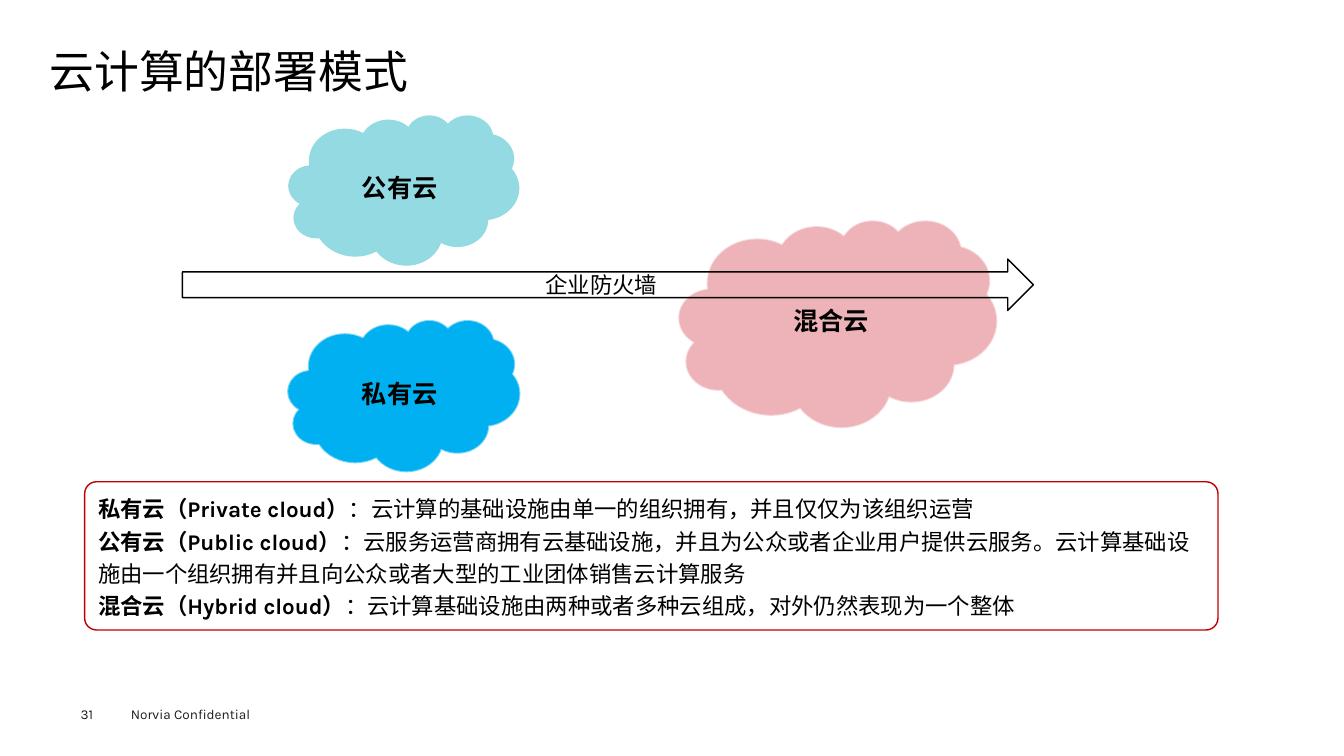
import pptx
import pptx.util
import pptx.dml.color
import pptx.enum.dml
import pptx.enum.lang
import pptx.enum.shapes
import pptx.enum.text
import pptx.oxml.ns
import lxml.etree

Inches = pptx.util.Inches
SHAPE = pptx.enum.shapes.MSO_SHAPE
ALIGN = pptx.enum.text.PP_ALIGN
ANCHOR = pptx.enum.text.MSO_ANCHOR
FONT = "Karla"
BLACK, GREY, WHITE = "000000", "1D1D1B", "FFFFFF"
PINK, AQUA, BLUE, RED = "EEB3B8", "94DAE2", "00B0F0", "C00000"

DEFINITIONS = [
    ("私有云（Private cloud）", "：云计算的基础设施由单一的组织拥有，并且仅仅为该组织运营"),
    ("公有云（Public cloud）",
     "：云服务运营商拥有云基础设施，并且为公众或者企业用户提供云服务。"
     "云计算基础设施由一个组织拥有并且向公众或者大型的工业团体销售云计算服务"),
    ("混合云（Hybrid cloud）", "：云计算基础设施由两种或者多种云组成，对外仍然表现为一个整体"),
]


def paint(color_format, color):
    color_format.rgb = pptx.dml.color.RGBColor.from_string(color)


def add_run(para, text, size, bold=False, color=BLACK):
    span = para.add_run()
    span.text = text
    font = span.font
    font.name, font.size, font.bold = FONT, pptx.util.Pt(size), bold
    font.language_id = pptx.enum.lang.MSO_LANGUAGE_ID.SIMPLIFIED_CHINESE
    font.fill.solid()
    paint(font.fill.fore_color, color)
    # East Asian characters use the same font setting
    tag = pptx.oxml.ns.qn("a:ea")
    lxml.etree.SubElement(span.font._element, tag).set("typeface", FONT)


def set_frame(frame, anchor=ANCHOR.TOP, margins=(0.1, 0.05)):
    frame.word_wrap = True
    frame.auto_size = pptx.enum.text.MSO_AUTO_SIZE.NONE
    frame.vertical_anchor = anchor
    frame.margin_left = frame.margin_right = Inches(margins[0])
    frame.margin_top = frame.margin_bottom = Inches(margins[1])
    return frame.paragraphs[0]


def add_box(shapes, place, text, size, bold=False, color=BLACK,
            align=ALIGN.LEFT, anchor=ANCHOR.TOP, margins=(0.1, 0.05)):
    box = shapes.add_textbox(*map(Inches, place))
    para = set_frame(box.text_frame, anchor, margins)
    para.alignment = align
    add_run(para, text, size, bold, color)


def add_shape(shapes, kind, place, fill=None, line=None, width=1):
    shape = shapes.add_shape(kind, *map(Inches, place))
    shape.shadow.inherit = False
    if fill:
        shape.fill.solid()
        paint(shape.fill.fore_color, fill)
    else:
        shape.fill.background()
    if line:
        shape.line.fill.solid()
        paint(shape.line.fill.fore_color, line)
        shape.line.width = pptx.util.Pt(width)
    else:
        shape.line.fill.background()
    return shape


def add_cloud(page, place, label_place, label, color, outlined=True):
    group = page.shapes.add_group_shape()
    cloud = add_shape(group.shapes, SHAPE.CLOUD, place, color,
                      color if outlined else None, 1.5)
    if outlined:
        # Half transparent outline
        tint = cloud.line._ln.find(".//" + pptx.oxml.ns.qn("a:srgbClr"))
        lxml.etree.SubElement(tint, pptx.oxml.ns.qn("a:alpha")).set("val", "50000")
    add_box(group.shapes, label_place, label, 18, True,
            align=ALIGN.CENTER, anchor=ANCHOR.MIDDLE)


def add_title(page, text):
    title = page.shapes.title
    title.left, title.top, title.width, title.height = map(
        Inches, (0.49, 0.49, 12.35, 0.54))
    para = set_frame(title.text_frame, margins=(0, 0))
    para.alignment = ALIGN.LEFT
    para.line_spacing = 0.9
    add_run(para, text, 32)


def add_definitions(page):
    panel = add_shape(page.shapes, SHAPE.ROUNDED_RECTANGLE,
                      (0.84, 4.78, 11.24, 1.47), WHITE, RED)
    panel.adjustments[0] = 0.08
    para = set_frame(panel.text_frame)
    for index, (term, meaning) in enumerate(DEFINITIONS):
        if index:
            para = panel.text_frame.add_paragraph()
        para.alignment = ALIGN.LEFT
        para.line_spacing = 1.2
        add_run(para, term, 16, True)
        add_run(para, meaning, 16)


def add_firewall(page):
    arrow = add_shape(page.shapes, SHAPE.RIGHT_ARROW,
                      (1.81, 2.57, 8.44, 0.51), line=BLACK)
    para = set_frame(arrow.text_frame, ANCHOR.MIDDLE)
    para.alignment = ALIGN.CENTER
    add_run(para, "企业防火墙", 16)


def main():
    deck = pptx.Presentation()
    deck.slide_width, deck.slide_height = Inches(13.33), Inches(7.5)
    page = deck.slides.add_slide(deck.slide_layouts.get_by_name("Title Only"))
    add_title(page, "云计算的部署模式")

    # Footer
    add_box(page.shapes, (1.2, 6.95, 1.6, 0.27), "Norvia Confidential", 9.7, color=GREY)
    add_box(page.shapes, (0.8, 7, 0.55, 0.16), "31", 9.7, color=GREY, margins=(0, 0))

    # Clouds on both sides of the firewall, with their definitions
    add_cloud(page, (6.74, 2.19, 3.14, 2.04), (7.17, 2.98, 2.15, 0.4), "混合云", PINK)
    add_definitions(page)
    for top, label, color, outlined in ((1.14, "公有云", AQUA, False),
                                        (3.18, "私有云", BLUE, True)):
        add_cloud(page, (2.86, top, 2.29, 1.49), (3.18, top + 0.52, 1.57, 0.4),
                  label, color, outlined)
    add_firewall(page)

    deck.save("out.pptx")


if __name__ == "__main__":
    main()
